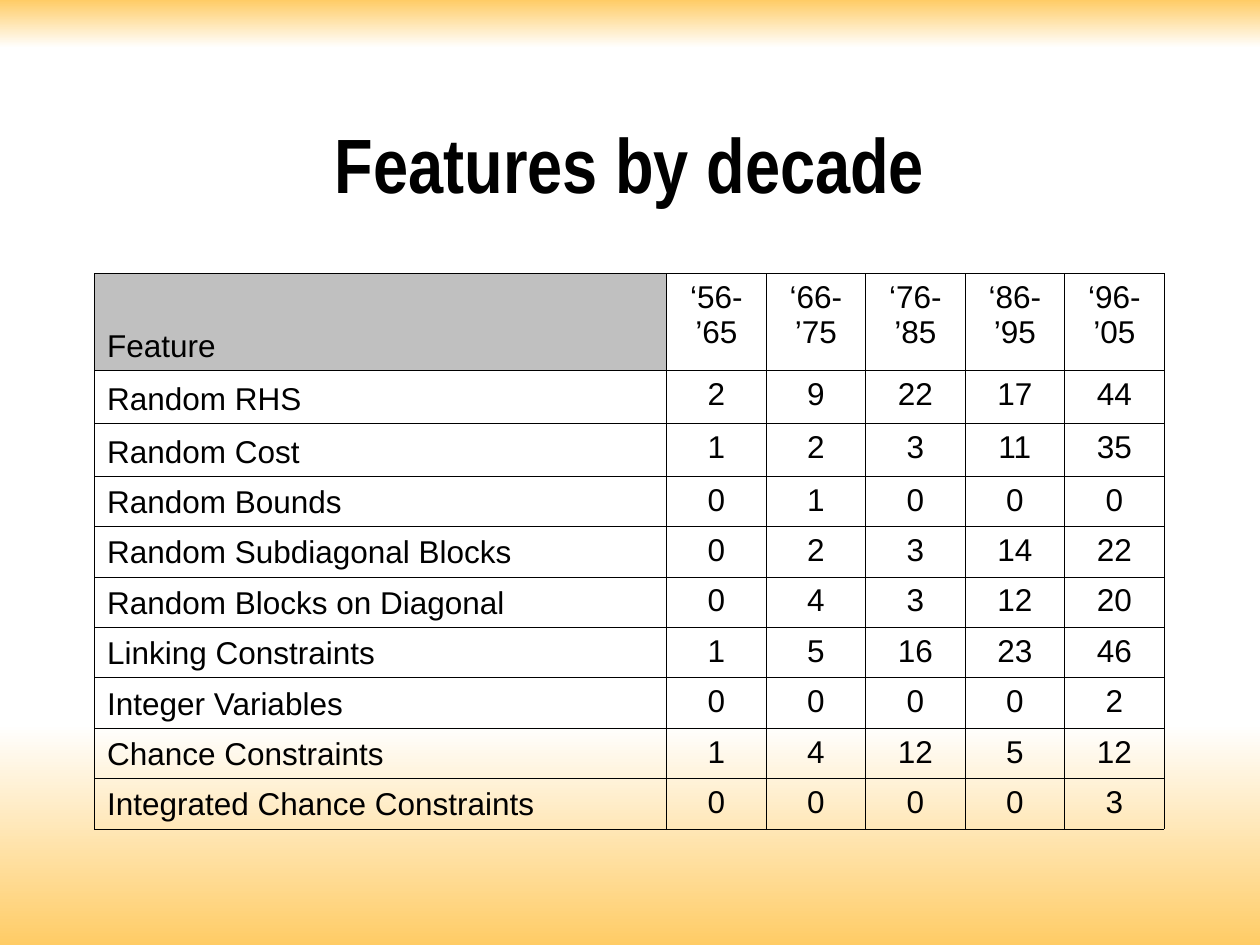
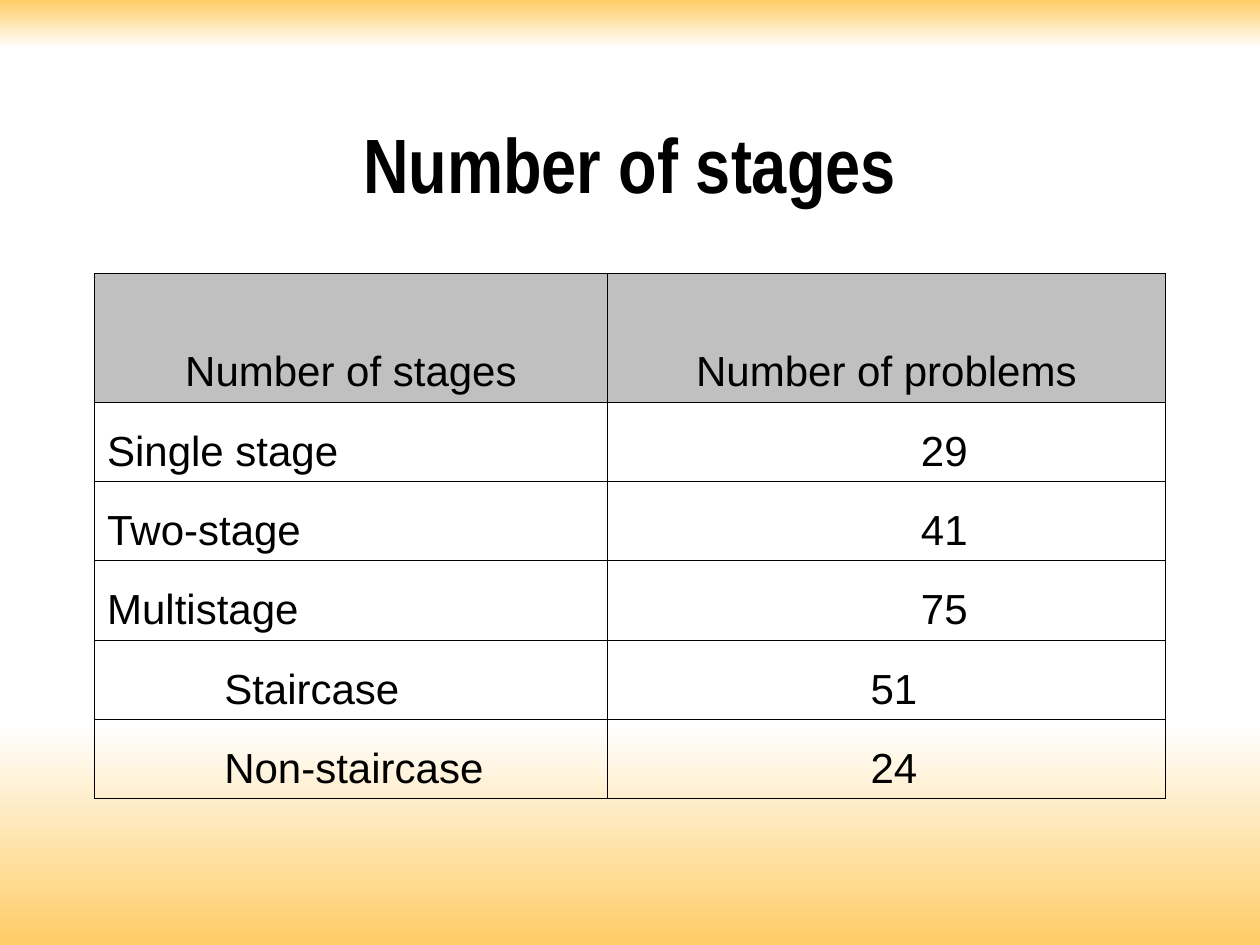
from dataclasses import dataclass

from lxml import etree
from pptx import Presentation
from pptx import util as u
from pptx.dml.color import RGBColor
from pptx.enum import shapes, text
from pptx.oxml import ns

PX = 9144  # EMU; one inch holds 100 px
SLIDE_W, SLIDE_H = 1000, 750
TABLE_LEFT, TABLE_TOP = 75, 217
TITLE_BOX = (75, 67, 850, 125)
INSET_X, INSET_Y = 10, 5

WHITE = RGBColor(0xFF, 0xFF, 0xFF)
BLACK = RGBColor(0x00, 0x00, 0x00)
AMBER = RGBColor(0xFF, 0xCC, 0x66)
SILVER = RGBColor(0xC0, 0xC0, 0xC0)

TITLE_FONT, BODY_FONT = "Arial Narrow", "Arial"
TITLE_SIZE = 44
BORDER_PT = 0.45

LEFT, CENTER, RIGHT = text.PP_ALIGN.LEFT, text.PP_ALIGN.CENTER, text.PP_ALIGN.RIGHT
TOP, BOTTOM = text.MSO_ANCHOR.TOP, text.MSO_ANCHOR.BOTTOM


@dataclass(frozen=True)
class Band:
    top: int
    height: int
    upper: RGBColor
    lower: RGBColor


@dataclass(frozen=True)
class Column:
    heading: str
    width: int
    heading_align: text.PP_ALIGN
    align: text.PP_ALIGN
    anchor: text.MSO_ANCHOR
    shaded_heading: bool = True


@dataclass(frozen=True)
class Row:
    label: str
    values: tuple[int, ...]
    height: int
    label_indent: int = 0
    right_inset: int = INSET_X


@dataclass(frozen=True)
class TableSlide:
    title: str
    heading_height: int
    font_size: int
    columns: list[Column]
    rows: list[Row]


BANDS = [Band(575, 175, WHITE, AMBER), Band(0, 38, AMBER, WHITE)]

DECADES = ["‘56- ’65", "‘66- ’75", "‘76- ’85", "‘86- ’95", "‘96- ’05"]
FEATURES = TableSlide(
    "Features by decade", 77, 18,
    [Column("Feature", 454, LEFT, LEFT, BOTTOM)]
    + [Column(decade, 79, CENTER, CENTER, TOP, False) for decade in DECADES],
    [
        Row("Random RHS", (2, 9, 22, 17, 44), 42),
        Row("Random Cost", (1, 2, 3, 11, 35), 42),
        Row("Random Bounds", (0, 1, 0, 0, 0), 40),
        Row("Random Subdiagonal Blocks", (0, 2, 3, 14, 22), 40),
        Row("Random Blocks on Diagonal", (0, 4, 3, 12, 20), 40),
        Row("Linking Constraints", (1, 5, 16, 23, 46), 40),
        Row("Integer Variables", (0, 0, 0, 0, 2), 40),
        Row("Chance Constraints", (1, 4, 12, 5, 12), 40),
        Row("Integrated Chance Constraints", (0, 0, 0, 0, 3), 40),
    ],
)
STAGES = TableSlide(
    "Number of stages", 102, 24,
    [
        Column("Number of stages", 407, CENTER, LEFT, BOTTOM),
        Column("Number of problems", 443, CENTER, RIGHT, BOTTOM),
    ],
    [
        Row("Single stage", (29,), 63, right_inset=157),
        Row("Two-stage", (41,), 63, right_inset=157),
        Row("Multistage", (75,), 63, right_inset=157),
        Row("Staircase", (51,), 63, label_indent=93, right_inset=197),
        Row("Non-staircase", (24,), 63, label_indent=93, right_inset=197),
    ],
)


def px(*lengths: int) -> list[u.Emu]:
    return [u.Emu(length * PX) for length in lengths]


def set_font(paragraph, name: str, size: int, bold: bool = False) -> None:
    for run in paragraph.runs:
        run.font.name = name
        run.font.size = u.Pt(size)
        run.font.bold = bold
        run.font.color.rgb = BLACK


def add_master_band(slide, band: Band, number: int) -> None:
    """Draw a gradient band and move it behind everything on the slide master."""
    strip = slide.shapes.add_shape(
        shapes.MSO_SHAPE.RECTANGLE, *px(0, band.top, SLIDE_W, band.height))
    strip.shadow.inherit = False
    strip.line.fill.background()
    strip.fill.gradient()
    strip.fill.gradient_angle = 270
    for stop, color in zip(strip.fill.gradient_stops, (band.upper, band.lower)):
        stop.color.rgb = color
    strip.element.nvSpPr.cNvPr.set("id", str(100 + number))
    master = slide.slide_layout.slide_master
    master.element.cSld.spTree.insert(2, strip.element)


def set_title(slide, wording: str) -> None:
    title = slide.shapes.title
    title.left, title.top, title.width, title.height = px(*TITLE_BOX)
    frame = title.text_frame
    frame.text = wording
    frame.word_wrap = True
    frame.auto_size = text.MSO_AUTO_SIZE.NONE
    frame.vertical_anchor = text.MSO_ANCHOR.MIDDLE
    frame.paragraphs[0].alignment = CENTER
    set_font(frame.paragraphs[0], TITLE_FONT, TITLE_SIZE, bold=True)


def add_borders(cell) -> None:
    properties = cell._tc.get_or_add_tcPr()
    for position, side in enumerate(("lnL", "lnR", "lnT", "lnB")):
        line = etree.Element(ns.qn(f"a:{side}"), w=str(int(u.Pt(BORDER_PT))))
        fill = etree.SubElement(line, ns.qn("a:solidFill"))
        etree.SubElement(fill, ns.qn("a:srgbClr"), val=str(BLACK))
        properties.insert(position, line)


def fill_cell(cell, wording: str, size: int, align: text.PP_ALIGN,
              anchor: text.MSO_ANCHOR, shaded: bool = False,
              indent: int = 0, right_inset: int = INSET_X) -> None:
    cell.margin_left, cell.margin_right = px(INSET_X, right_inset)
    cell.margin_top, cell.margin_bottom = px(INSET_Y, INSET_Y)
    cell.vertical_anchor = anchor
    paragraph = cell.text_frame.paragraphs[0]
    paragraph.text = wording
    paragraph.alignment = align
    if indent:
        paragraph._p.get_or_add_pPr().set("marL", str(indent * PX))
    set_font(paragraph, BODY_FONT, size)
    if shaded:
        cell.fill.solid()
        cell.fill.fore_color.rgb = SILVER
    else:
        cell.fill.background()
    add_borders(cell)


def add_data_table(slide, content: TableSlide) -> None:
    widths = [column.width for column in content.columns]
    heights = [content.heading_height] + [row.height for row in content.rows]
    table = slide.shapes.add_table(
        len(heights), len(widths),
        *px(TABLE_LEFT, TABLE_TOP, sum(widths), sum(heights))).table
    table.first_row = table.horz_banding = False
    for grid_column, width in zip(table.columns, px(*widths)):
        grid_column.width = width
    for grid_row, height in zip(table.rows, px(*heights)):
        grid_row.height = height

    for c, column in enumerate(content.columns):
        fill_cell(table.cell(0, c), column.heading, content.font_size,
                  column.heading_align, column.anchor, column.shaded_heading)
        for r, row in enumerate(content.rows, start=1):
            if c == 0:
                fill_cell(table.cell(r, c), row.label, content.font_size,
                          column.align, column.anchor, indent=row.label_indent)
            else:
                fill_cell(table.cell(r, c), str(row.values[c - 1]), content.font_size,
                          column.align, column.anchor, right_inset=row.right_inset)


def main() -> None:
    deck = Presentation()
    deck.slide_width, deck.slide_height = px(SLIDE_W, SLIDE_H)
    title_only = deck.slide_layouts[5]
    for content in (FEATURES, STAGES):
        slide = deck.slides.add_slide(title_only)
        set_title(slide, content.title)
        add_data_table(slide, content)
    for number, band in enumerate(BANDS):
        add_master_band(deck.slides[0], band, number)
    deck.save("out.pptx")


if __name__ == "__main__":
    main()
